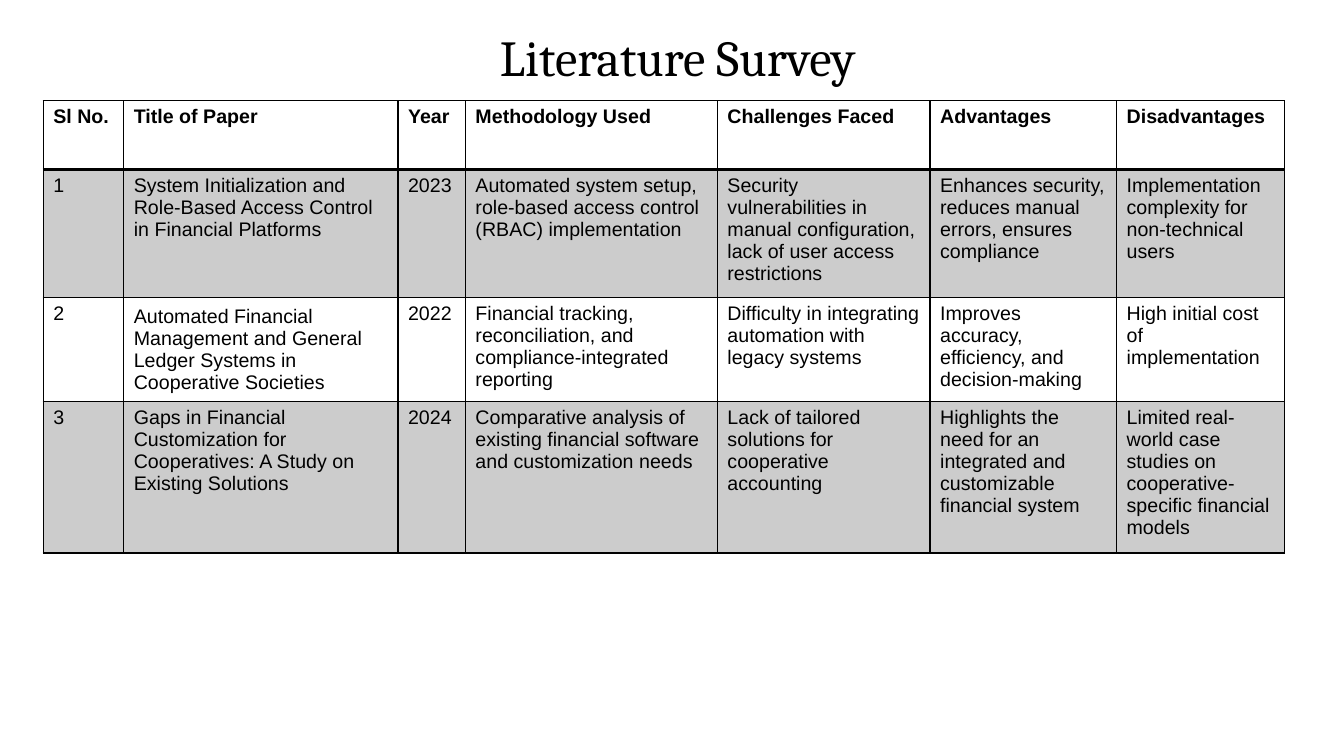
from lxml import etree
from pptx import Presentation
from pptx.dml.color import RGBColor
from pptx.enum.text import MSO_ANCHOR, PP_ALIGN
from pptx.oxml.ns import qn
from pptx.util import Cm, Pt

BLACK = RGBColor(0x00, 0x00, 0x00)
CENTER = PP_ALIGN.CENTER
MIDDLE = MSO_ANCHOR.MIDDLE

COL_WIDTHS = [2.03, 6.91, 1.7, 6.35, 5.36, 4.7, 4.24]
ROW_HEIGHTS = [1.73, 1.9, 2.46, 2.46]
PAPERS = [
    ["Sl No.", "Title of Paper", "Year", "Methodology Used",
     "Challenges Faced", "Advantages", "Disadvantages"],
    ["1", "System Initialization and Role-Based Access Control in Financial Platforms", "2023",
     "Automated system setup, role-based access control (RBAC) implementation",
     "Security vulnerabilities in manual configuration, lack of user access restrictions",
     "Enhances security, reduces manual errors, ensures compliance",
     "Implementation complexity for non-technical users"],
    ["2", "Automated Financial Management and General Ledger Systems in Cooperative Societies",
     "2022", "Financial tracking, reconciliation, and compliance-integrated reporting",
     "Difficulty in integrating automation with legacy systems",
     "Improves accuracy, efficiency, and decision-making",
     "High initial cost of implementation"],
    ["3", "Gaps in Financial Customization for Cooperatives: A Study on Existing Solutions",
     "2024", "Comparative analysis of existing financial software and customization needs",
     "Lack of tailored solutions for cooperative accounting",
     "Highlights the need for an integrated and customizable financial system",
     "Limited real-world case studies on cooperative-specific financial models"],
]


def add_run(p, text, font, size, bold=False):
    r = p.add_run()
    r.text = text
    r.font.name = font
    r.font.size = Pt(size)
    r.font.bold = bold
    r.font.color.rgb = BLACK


def add_border(cell, side, width):
    """Draw a black line, width in points, on side L, R, T or B of a cell."""
    ln = etree.SubElement(cell._tc.get_or_add_tcPr(), qn(f"a:ln{side}"), w=str(Pt(width)))
    fill = etree.SubElement(ln, qn("a:solidFill"))
    etree.SubElement(fill, qn("a:srgbClr"), val=str(BLACK))


prs = Presentation()
prs.slide_width = Cm(33.87)
prs.slide_height = Cm(19.05)
s = prs.slides.add_slide(prs.slide_layouts[6])

# Title
title = s.shapes.add_textbox(Cm(2.26), Cm(0.76), Cm(29.64), Cm(1.35))
tf = title.text_frame
tf.word_wrap = True
tf.vertical_anchor = MIDDLE
tf.margin_top = Cm(0.3)
p = tf.paragraphs[0]
p.alignment = CENTER
p.line_spacing = 0.88
add_run(p, "Literature Survey", "Cambria", 36)

# Survey table
frame = s.shapes.add_table(len(PAPERS), len(COL_WIDTHS), Cm(1.09), Cm(2.54),
                           Cm(sum(COL_WIDTHS)), Cm(11.38))
table = frame.table
table.first_row = False
table.horz_banding = False
for column, width in zip(table.columns, COL_WIDTHS):
    column.width = Cm(width)
for row, height in zip(table.rows, ROW_HEIGHTS):
    row.height = Cm(height)

last_row = len(PAPERS) - 1
for i, paper in enumerate(PAPERS):
    for j, text in enumerate(paper):
        cell = table.cell(i, j)
        add_run(cell.text_frame.paragraphs[0], text, "Arial", 14, bold=i == 0)
        for side in "LRTB":
            heavy = (side == "B" and i in (0, last_row)) or (side == "T" and i == 1)
            add_border(cell, side, 2 if heavy else 1)
        if i % 2:
            cell.fill.solid()
            cell.fill.fore_color.rgb = BLACK
            color = cell._tc.tcPr.find(qn("a:solidFill")).find(qn("a:srgbClr"))
            etree.SubElement(color, qn("a:alpha"), val="20000")
        else:
            cell.fill.background()
table.cell(2, 1).vertical_anchor = MIDDLE

prs.save("out.pptx")
